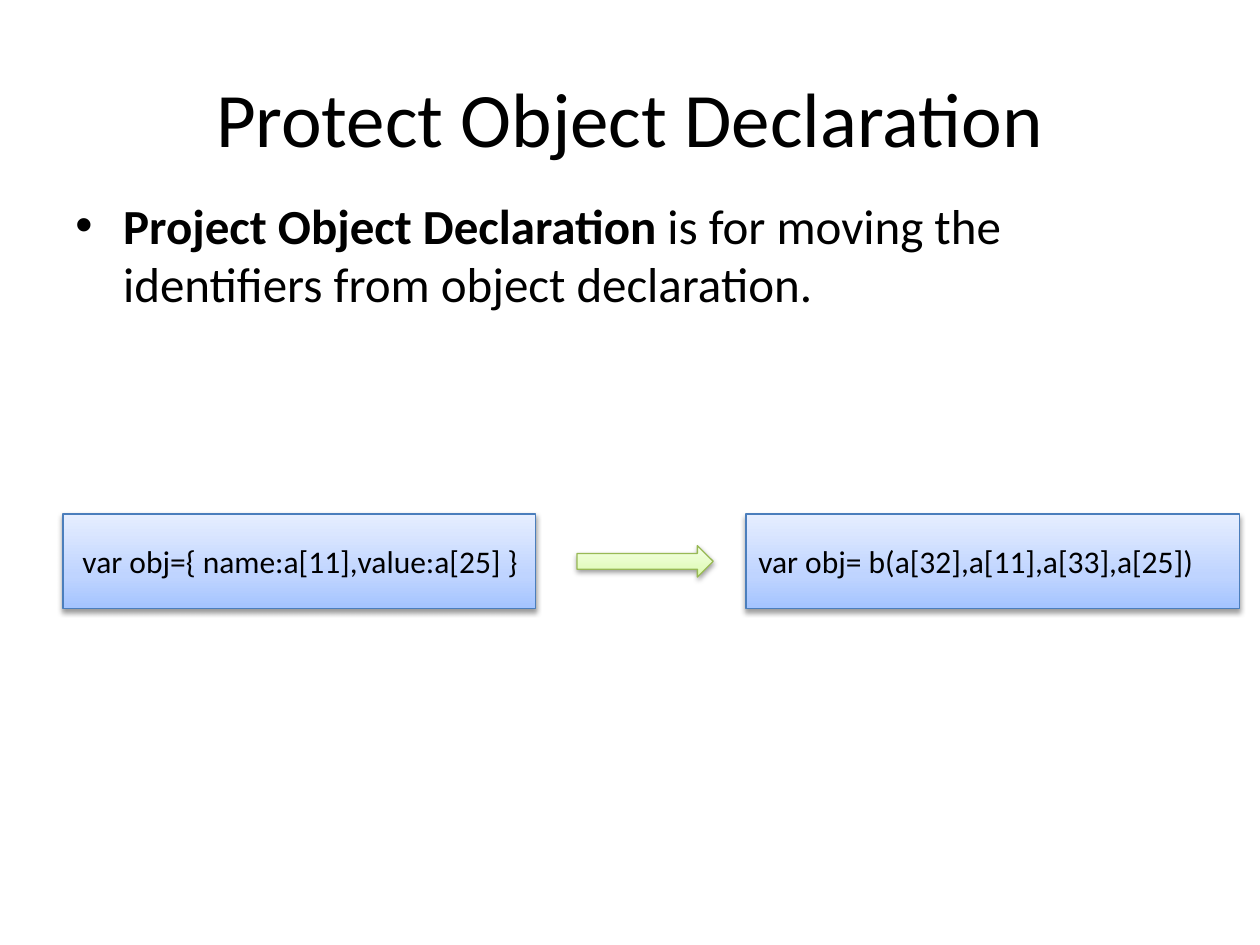
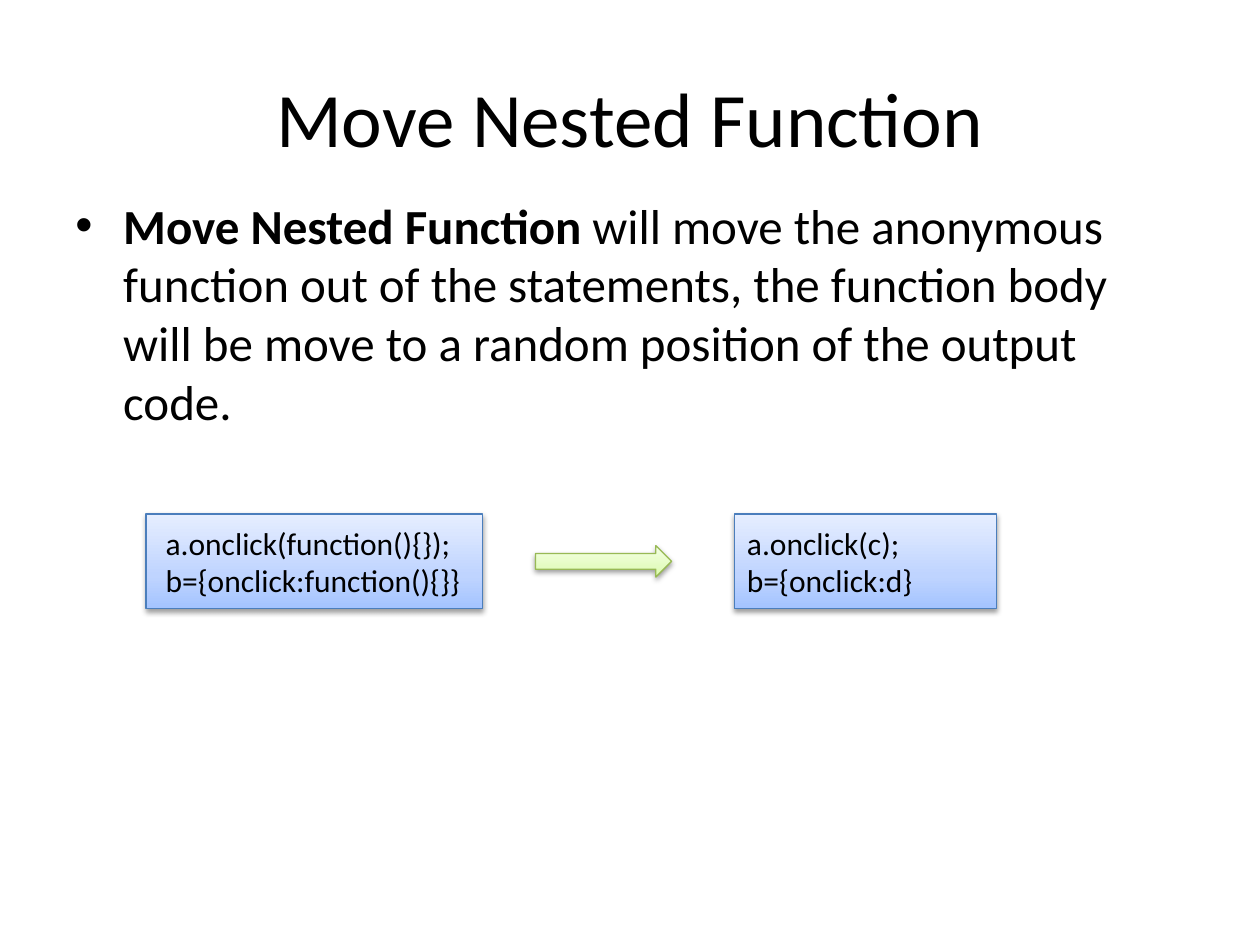
from copy import deepcopy

from lxml.etree import SubElement
from pptx import Presentation
from pptx.dml.color import RGBColor
from pptx.enum.shapes import MSO_SHAPE
from pptx.enum.text import MSO_ANCHOR, PP_ALIGN
from pptx.oxml.ns import qn
from pptx.util import Inches, Pt

COLORS = {
    "text": "000000",
    "code_line": "4B7EBC",
    "code_low": "A4C4FF",
    "code_mid": "BFD4FF",
    "code_high": "E6EEFF",
    "arrow_line": "98B955",
    "arrow_low": "DAFDA7",
    "arrow_mid": "E4FCC2",
    "arrow_high": "F5FFE7",
}
GRADIENT_STOPS = {"low": 0, "mid": 0.35, "high": 1}
FONT = "Calibri"
TITLE_FORMAT = {"size": Pt(44), "bold": False}
LEAD_FORMAT = {"size": Pt(28), "bold": True}
BODY_FORMAT = {"size": Pt(28), "bold": False}
CODE_FORMAT = {"size": Pt(18), "bold": False}
ROW_TOP, ROW_HEIGHT = 4.08, 0.75
ARROW_WIDTH, ARROW_HEIGHT = 1.08, 0.25

SLIDES = [
    {
        "title": "Protect Object Declaration",
        "lead": "Project Object Declaration ",
        "body": "is for moving the identifiers from object declaration.",
        "before": (0.5, 3.75, [" var obj={ name:a[11],value:a[25] }"]),
        "after": (5.92, 3.92, ["var obj= b(a[32],a[11],a[33],a[25])"]),
        "arrow_left": 4.58,
    },
    {
        "title": "Move Nested Function",
        "lead": "Move Nested Function ",
        "body": "will move the anonymous function out of the statements, "
                "the function body will be move to a random position of "
                "the output code.",
        "before": (1.16, 2.67, [" a.onclick(function(){});",
                                " b={onclick:function(){}}"]),
        "after": (5.83, 2.08, ["a.onclick(c);", "b={onclick:d}"]),
        "arrow_left": 4.25,
    },
]


def color(name):
    return RGBColor.from_string(COLORS[name])


class SlideBuilder:
    def __init__(self):
        self.deck = Presentation()
        self.deck.slide_width = Inches(10)
        self.deck.slide_height = Inches(7.5)
        self.page = None

    def add_page(self, title):
        self.page = self.deck.slides.add_slide(self.deck.slide_layouts[5])
        box = self.page.shapes.title
        place = {"left": 0.5, "top": 0.3, "width": 9, "height": 1.25}
        for name, value in place.items():
            setattr(box, name, Inches(value))
        box.text_frame.vertical_anchor = MSO_ANCHOR.MIDDLE
        para = box.text_frame.paragraphs[0]
        para.alignment = PP_ALIGN.CENTER
        self.add_span(para, title, TITLE_FORMAT)

    def add_span(self, para, text, text_format):
        span = para.add_run()
        span.text = text
        for name, value in text_format.items():
            setattr(span.font, name, value)
        span.font.name = FONT
        span.font.color.rgb = color("text")

    def add_bullet(self, lead, body):
        box = self.page.shapes.add_textbox(
            Inches(0.5), Inches(1.5), Inches(9), Inches(5.2))
        box.text_frame.word_wrap = True
        para = box.text_frame.paragraphs[0]
        para.space_before = Pt(LEAD_FORMAT["size"].pt * 0.2)
        self.add_span(para, lead, LEAD_FORMAT)
        self.add_span(para, body, BODY_FORMAT)
        properties = para._p.get_or_add_pPr()
        properties.set("marL", str(Inches(0.38)))
        properties.set("indent", str(Inches(-0.38)))
        SubElement(properties, qn("a:buFont"), typeface="Arial")
        SubElement(properties, qn("a:buChar"), char="•")

    def add_glossy_shape(self, kind, palette, left, top, width, height):
        """Add a shape with a three-stop gradient, thin line and soft shadow."""
        shape = self.page.shapes.add_shape(
            kind, Inches(left), Inches(top), Inches(width), Inches(height))
        shape.line.color.rgb = color(f"{palette}_line")
        shape.line.width = Pt(0.75)

        shape.fill.gradient()
        shape.fill.gradient_angle = 90
        properties = shape.element.spPr
        stop_list = properties.find(qn("a:gradFill")).find(qn("a:gsLst"))
        stop_list.append(deepcopy(stop_list[0]))
        for stop, (shade, position) in zip(shape.fill.gradient_stops,
                                           GRADIENT_STOPS.items()):
            stop.color.rgb = color(f"{palette}_{shade}")
            stop.position = position

        shape.shadow.inherit = False
        shadow = SubElement(
            properties.find(qn("a:effectLst")), qn("a:outerShdw"),
            blurRad=str(Pt(3.1)), dist=str(Pt(1.6)), dir="5400000",
            rotWithShape="0")
        shadow_color = SubElement(shadow, qn("a:srgbClr"), val=COLORS["text"])
        SubElement(shadow_color, qn("a:alpha"), val="38000")
        return shape

    def add_code(self, left, width, lines):
        box = self.add_glossy_shape(
            MSO_SHAPE.RECTANGLE, "code", left, ROW_TOP, width, ROW_HEIGHT)
        frame = box.text_frame
        frame.word_wrap = True
        frame.vertical_anchor = MSO_ANCHOR.MIDDLE
        for index, line in enumerate(lines):
            para = frame.add_paragraph() if index else frame.paragraphs[0]
            para.alignment = PP_ALIGN.LEFT
            self.add_span(para, line, CODE_FORMAT)

    def add_arrow(self, left):
        top = ROW_TOP + (ROW_HEIGHT - ARROW_HEIGHT) / 2
        self.add_glossy_shape(MSO_SHAPE.RIGHT_ARROW, "arrow", left, top,
                              ARROW_WIDTH, ARROW_HEIGHT)


def main():
    builder = SlideBuilder()
    for content in SLIDES:
        builder.add_page(content["title"])
        builder.add_bullet(content["lead"], content["body"])
        builder.add_code(*content["before"])
        builder.add_code(*content["after"])
        builder.add_arrow(content["arrow_left"])
    builder.deck.save("out.pptx")


if __name__ == "__main__":
    main()
